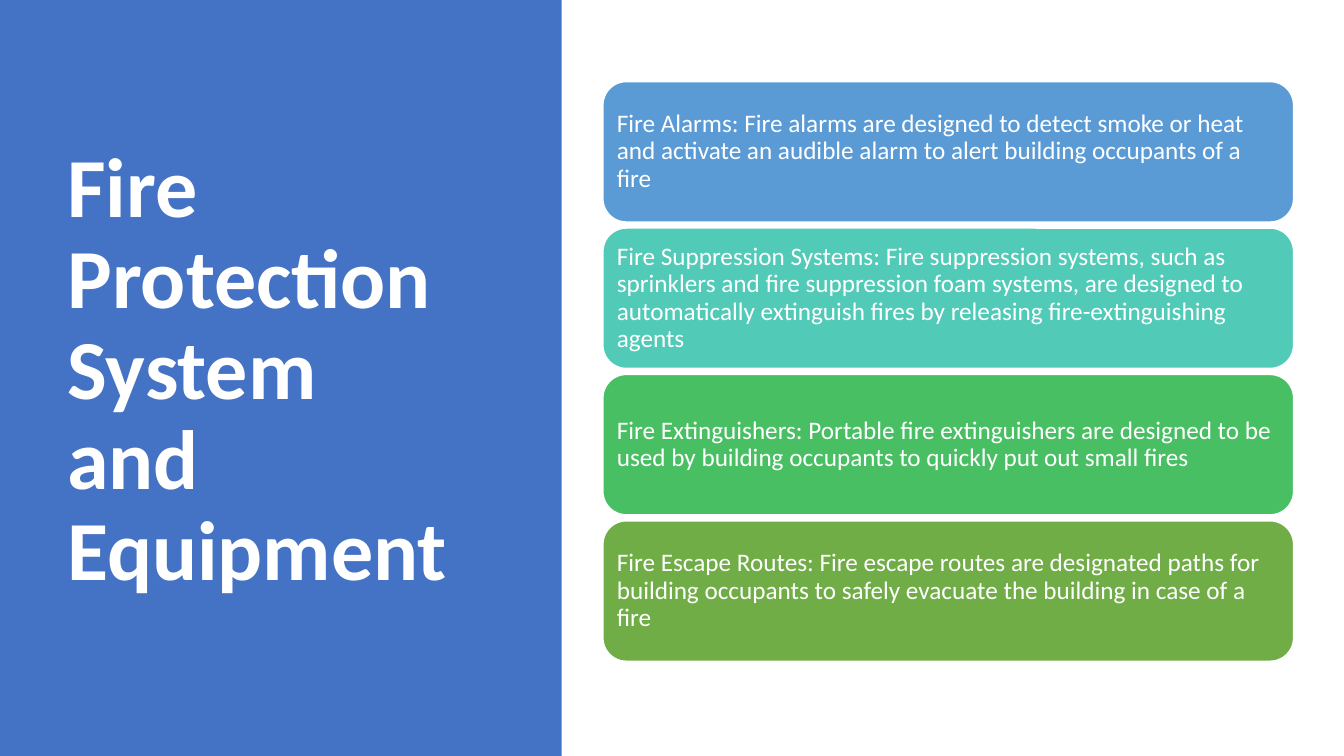
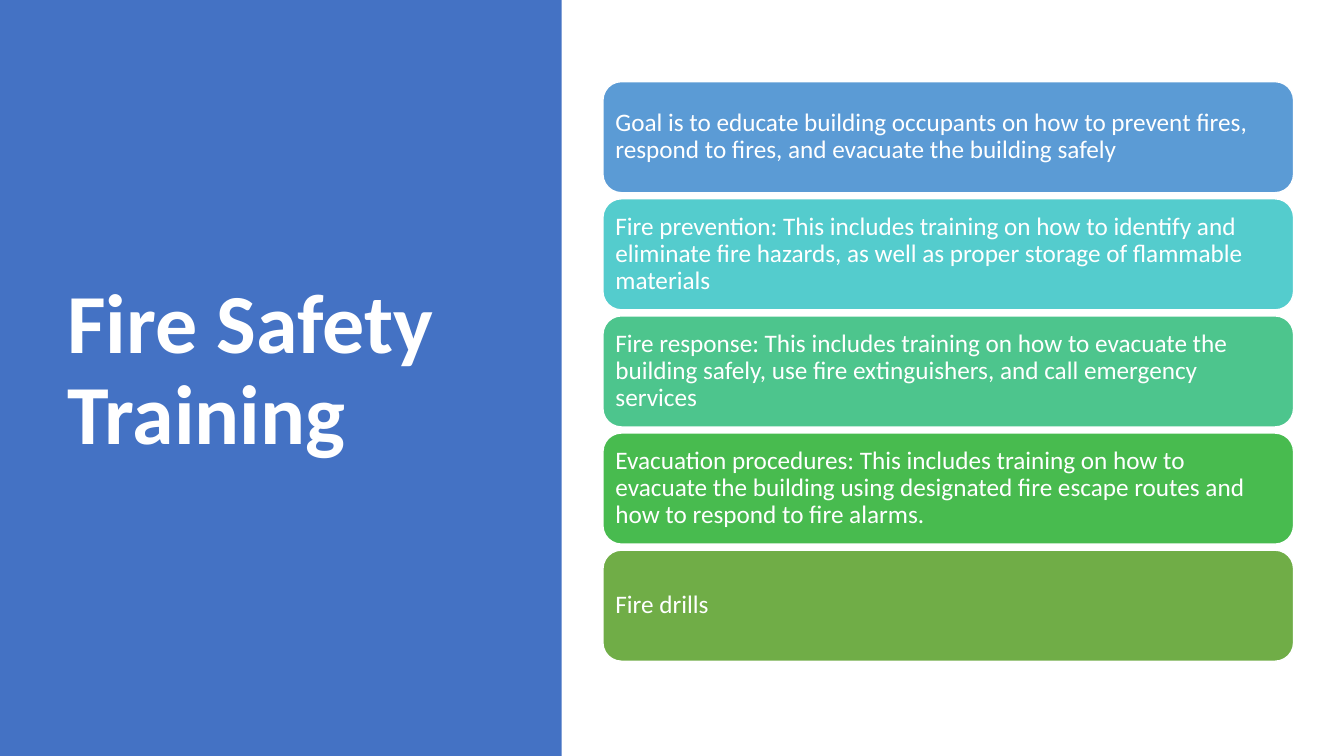
from dataclasses import dataclass

from pptx import Presentation
from pptx.dml.color import RGBColor
from pptx.enum.shapes import MSO_SHAPE
from pptx.enum.text import MSO_ANCHOR, PP_ALIGN
from pptx.presentation import Presentation as Deck
from pptx.shapes.autoshape import Shape
from pptx.slide import Slide
from pptx.util import Inches, Pt


@dataclass(frozen=True)
class Theme:
    font: str = "Calibri"
    title_size: int = 60
    card_size: int = 18
    line_spacing: float = 0.9
    panel: str = "4472C4"
    white: str = "FFFFFF"


@dataclass(frozen=True)
class Box:
    left: float
    top: float
    width: float
    height: float

    def lengths(self) -> list[Inches]:
        return [Inches(value) for value in (self.left, self.top, self.width, self.height)]


@dataclass(frozen=True)
class Card:
    text: str
    color: str


@dataclass(frozen=True)
class Topic:
    title: str
    cards: tuple[Card, ...]


THEME = Theme()
SLIDE_WIDTH, SLIDE_HEIGHT = 13.33, 7.5
PANEL = Box(0, 0, 5.57, SLIDE_HEIGHT)
TITLE = Box(0.57, 0.68, 4.16, 6.02)
STACK = Box(5.98, 0.81, 6.85, 5.75)
CARD_GAP = 0.06
CARD_INSET = 0.07

TOPICS = (
    Topic("Fire Protection System and Equipment", (
        Card("Fire Alarms: Fire alarms are designed to detect smoke or heat and activate "
             "an audible alarm to alert building occupants of a fire", "5B9BD5"),
        Card("Fire Suppression Systems: Fire suppression systems, such as sprinklers and fire "
             "suppression foam systems, are designed to automatically extinguish fires by "
             "releasing fire-extinguishing agents", "52CAB8"),
        Card("Fire Extinguishers: Portable fire extinguishers are designed to be used by "
             "building occupants to quickly put out small fires", "49BF64"),
        Card("Fire Escape Routes: Fire escape routes are designated paths for building "
             "occupants to safely evacuate the building in case of a fire", "70AD47"),
    )),
    Topic("Fire Safety Training", (
        Card("Goal is to educate building occupants on how to prevent fires, respond to fires, "
             "and evacuate the building safely", "5B9BD5"),
        Card("Fire prevention: This includes training on how to identify and eliminate fire "
             "hazards, as well as proper storage of flammable materials", "54CCCD"),
        Card("Fire response: This includes training on how to evacuate the building safely, "
             "use fire extinguishers, and call emergency services", "4DC58D"),
        Card("Evacuation procedures: This includes training on how to evacuate the building "
             "using designated fire escape routes and how to respond to fire alarms.", "48BB4F"),
        Card("Fire drills", "70AD47"),
    )),
)


def apply_format(target: object, values: dict[str, object]) -> None:
    for name, value in values.items():
        setattr(target, name, value)


def add_filled_shape(slide: Slide, kind: MSO_SHAPE, box: Box, color: str) -> Shape:
    shape = slide.shapes.add_shape(kind, *box.lengths())
    shape.shadow.inherit = False
    shape.fill.solid()
    shape.fill.fore_color.rgb = RGBColor.from_string(color)
    shape.line.fill.background()
    return shape


def write_text(shape: Shape, text: str, size: int, bold: bool, inset: float) -> None:
    frame = shape.text_frame
    apply_format(frame, {"word_wrap": True, "vertical_anchor": MSO_ANCHOR.MIDDLE})
    sides = ("left", "top", "right", "bottom")
    apply_format(frame, {f"margin_{side}": Inches(inset) for side in sides})
    paragraph = frame.paragraphs[0]
    apply_format(paragraph, {"alignment": PP_ALIGN.LEFT, "line_spacing": THEME.line_spacing})
    run = paragraph.add_run()
    run.text = text
    apply_format(run.font, {"name": THEME.font, "size": Pt(size), "bold": bold})
    run.font.color.rgb = RGBColor.from_string(THEME.white)


def add_title_panel(slide: Slide, title: str) -> None:
    add_filled_shape(slide, MSO_SHAPE.RECTANGLE, PANEL, THEME.panel)
    title_box = slide.shapes.add_textbox(*TITLE.lengths())
    write_text(title_box, title, THEME.title_size, bold=True, inset=0.1)


def add_card_stack(slide: Slide, cards: tuple[Card, ...]) -> None:
    height = (STACK.height - CARD_GAP * (len(cards) - 1)) / len(cards)
    for index, card in enumerate(cards):
        box = Box(STACK.left, STACK.top + index * (height + CARD_GAP), STACK.width, height)
        shape = add_filled_shape(slide, MSO_SHAPE.ROUNDED_RECTANGLE, box, card.color)
        shape.line.color.rgb = RGBColor.from_string(THEME.white)
        shape.line.width = Pt(1)
        write_text(shape, card.text, THEME.card_size, bold=False, inset=CARD_INSET)


def add_topic_slide(presentation: Deck, topic: Topic) -> None:
    slide = presentation.slides.add_slide(presentation.slide_layouts[6])
    add_title_panel(slide, topic.title)
    add_card_stack(slide, topic.cards)


def main() -> None:
    presentation = Presentation()
    apply_format(presentation, {
        "slide_width": Inches(SLIDE_WIDTH),
        "slide_height": Inches(SLIDE_HEIGHT),
    })
    for topic in TOPICS:
        add_topic_slide(presentation, topic)
    presentation.save("out.pptx")


if __name__ == "__main__":
    main()
